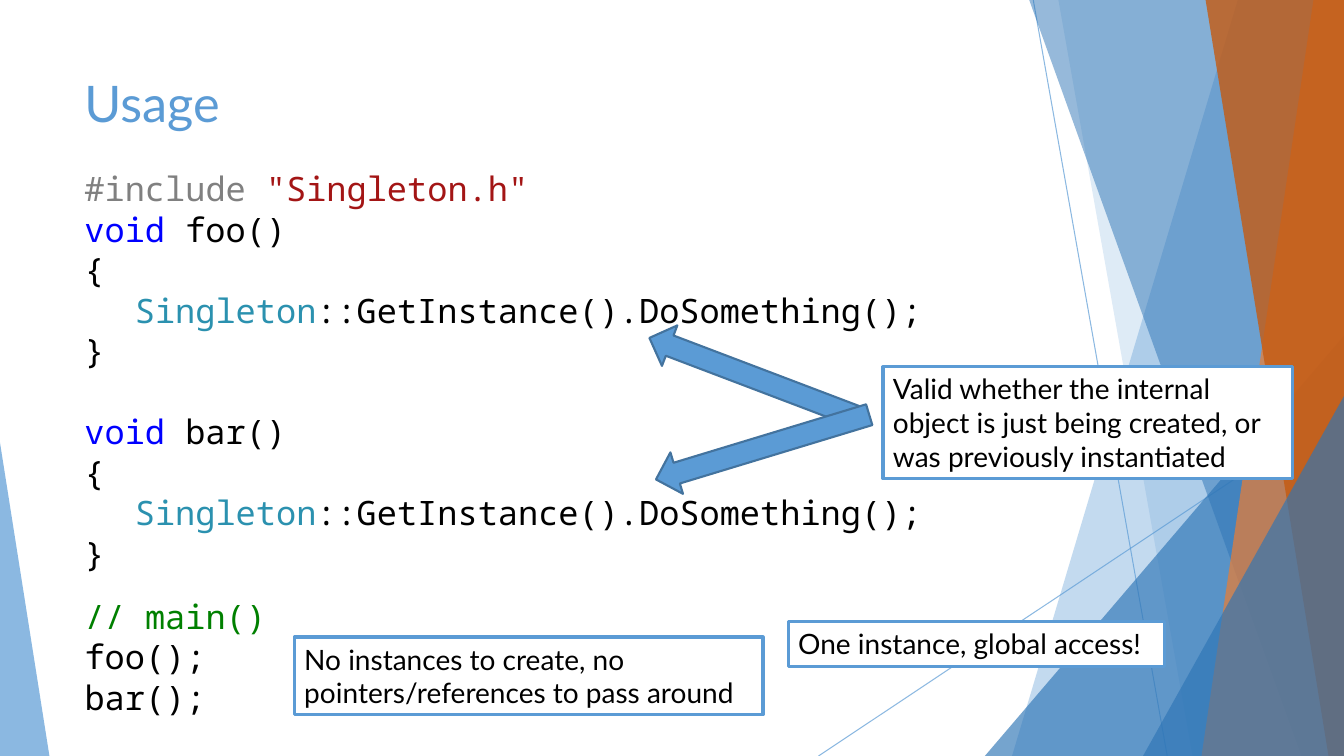
import dataclasses

import lxml.etree
import pptx
import pptx.dml.color
import pptx.enum.shapes
import pptx.enum.text
import pptx.oxml.ns
import pptx.util

KIND = pptx.enum.shapes.MSO_SHAPE
qn = pptx.oxml.ns.qn


@dataclasses.dataclass(frozen=True)
class Theme:
    blue: str = "5B9BD5"
    deep: str = "2E75B6"
    edge: str = "43739E"
    orange: str = "ED7D31"
    rust: str = "C55A11"
    white: str = "FFFFFF"
    black: str = "000000"
    gray: str = "808080"
    red: str = "A31515"
    key: str = "0000FF"
    teal: str = "2B91AF"
    green: str = "008000"
    sans: str = "Lato"
    mono: str = "Noto Sans Mono"
    head: float = 36
    code: float = 24
    note: float = 20
    pitch: float = 28.9


T = Theme()


def rgb(tint):
    return pptx.dml.color.RGBColor.from_string(tint)


def part(box, x, y, w, h):
    left, top, wide, high = box
    return (round(left + wide * x / 100), round(top + high * y / 100),
            round(wide * w / 100), round(high * h / 100))


def fade(holder, share):
    tint = holder.find(qn("a:solidFill"))[0]
    lxml.etree.SubElement(tint, qn("a:alpha")).set("val", str(share * 1000))


def paint(shape, fill, share=100, line=None, width=0):
    shape.shadow.inherit = False
    shape.fill.solid()
    shape.fill.fore_color.rgb = rgb(fill)
    if share < 100:
        fade(shape._element.spPr, share)
    if line:
        shape.line.color.rgb = rgb(line)
        shape.line.width = pptx.util.Pt(width)
    else:
        shape.line.fill.background()


def ray(slide, box, start, end):
    x, y, _, _ = part(box, *start, 0, 0)
    right, low, _, _ = part(box, *end, 0, 0)
    line = slide.shapes.add_connector(
        pptx.enum.shapes.MSO_CONNECTOR.STRAIGHT, x, y, right, low)
    line.line.color.rgb = rgb(T.blue)
    line.line.width = pptx.util.Pt(0.75)
    fade(line.line._ln, 70)
    lxml.etree.SubElement(line._element.spPr, qn("a:effectLst"))


def band(slide, box, top, base, tint, share):
    spots = [part(box, x, y, 0, 0)[:2]
             for x, y in ((top, 0), (100, 0), (100, 100), (base, 100))]
    pen = slide.shapes.build_freeform(*spots[0])
    pen.add_line_segments(spots[1:], close=True)
    paint(pen.convert_to_shape(), tint, share)


def wedge(slide, box, x, y, w, peak, tint, share):
    shape = slide.shapes.add_shape(
        KIND.ISOSCELES_TRIANGLE, *part(box, x, y, w, 100 - y))
    shape.adjustments[0] = peak
    paint(shape, tint, share)


def facets(slide, box):
    ray(slide, box, (76.88, 0), (86.85, 100))
    ray(slide, box, (100, 53.73), (60.9, 100))
    band(slide, box, 92.1, 75.3, T.blue, 36)
    band(slide, box, 78.75, 88.73, T.blue, 20)
    wedge(slide, box, 73.28, 44.4, 26.72, 1, T.deep, 66)
    band(slide, box, 76.58, 96.83, T.deep, 50)
    band(slide, box, 97.73, 89.4, T.orange, 70)
    band(slide, box, 89.7, 98.85, T.rust, 80)
    wedge(slide, box, 85.05, 52.4, 14.95, 1, T.deep, 66)
    wedge(slide, box, 0, 58.53, 3.68, 0, T.blue, 70)


def style(para, face, size, tint=None):
    para.alignment = pptx.enum.text.PP_ALIGN.LEFT
    para.font.name = face
    para.font.size = pptx.util.Pt(size)
    if tint:
        para.font.color.rgb = rgb(tint)


def label(shape, text, size, tint):
    frame = shape.text_frame
    frame.word_wrap = True
    frame.vertical_anchor = pptx.enum.text.MSO_ANCHOR.TOP
    frame.text = text
    style(frame.paragraphs[0], T.sans, size, tint)


def title(slide, box, text):
    label(slide.shapes.add_textbox(*box), text, T.head, T.blue)


def note(slide, box, text):
    shape = slide.shapes.add_shape(KIND.RECTANGLE, *box)
    paint(shape, T.white, line=T.blue, width=2.25)
    label(shape, text, T.note, T.black)


def arrow(slide, box, turn):
    shape = slide.shapes.add_shape(KIND.LEFT_ARROW, *box)
    paint(shape, T.blue, line=T.edge, width=1.5)
    shape.rotation = turn


def code(slide, box, lines):
    frame = slide.shapes.add_textbox(*box).text_frame
    frame.word_wrap = True
    for row, (depth, gap, runs) in enumerate(lines):
        para = frame.add_paragraph() if row else frame.paragraphs[0]
        style(para, T.mono, T.code)
        para.line_spacing = pptx.util.Pt(T.pitch)
        para.space_before = pptx.util.Pt(gap * T.pitch)
        if depth:
            para._p.get_or_add_pPr().set(
                "marL", str(pptx.util.Inches(depth / 2)))
        for text, tint in runs:
            run = para.add_run()
            run.text = text
            run.font.color.rgb = rgb(tint)


def plain(text, tint=T.black):
    return 0, 0, [(text, tint)]


def method(name, gap):
    call = [("Singleton", T.teal),
            ("::GetInstance().DoSomething();", T.black)]
    return [(0, gap, [("void ", T.key), (name + "()", T.black)]),
            plain("{"), (1, 0, call), plain("}")]


def usage(slide, box):
    facets(slide, box)
    title(slide, part(box, 5.55, 8.93, 70.5, 19.2), "Usage")
    arrow(slide, part(box, 47.78, 47.07, 16.58, 5.73), 20.8)
    note(slide, part(box, 65.7, 48.53, 30.45, 14.8),
         "Valid whether the internal object is just being created, "
         "or was previously instantiated")
    arrow(slide, part(box, 48.45, 56.27, 16.58, 5.73), 343.1)
    first = (0, 0, [("#include ", T.gray), ('"Singleton.h"', T.red)])
    code(slide, part(box, 5.55, 21.6, 79.43, 55.2),
         [first] + method("foo", 0) + method("bar", 1))
    code(slide, part(box, 5.55, 78.13, 50, 17.47),
         [plain("// main()", T.green), plain("foo();"), plain("bar();")])
    note(slide, part(box, 21.9, 84.27, 34.88, 10.27),
         "No instances to create, no pointers/references to pass around")
    note(slide, part(box, 58.65, 82.27, 27.98, 5.87),
         "One instance, global access!")


deck = pptx.Presentation()
deck.slide_width = pptx.util.Inches(13.33)
deck.slide_height = pptx.util.Inches(7.5)
page = deck.slides.add_slide(deck.slide_layouts[6])
usage(page, (0, 0, deck.slide_width, deck.slide_height))
deck.save("out.pptx")
